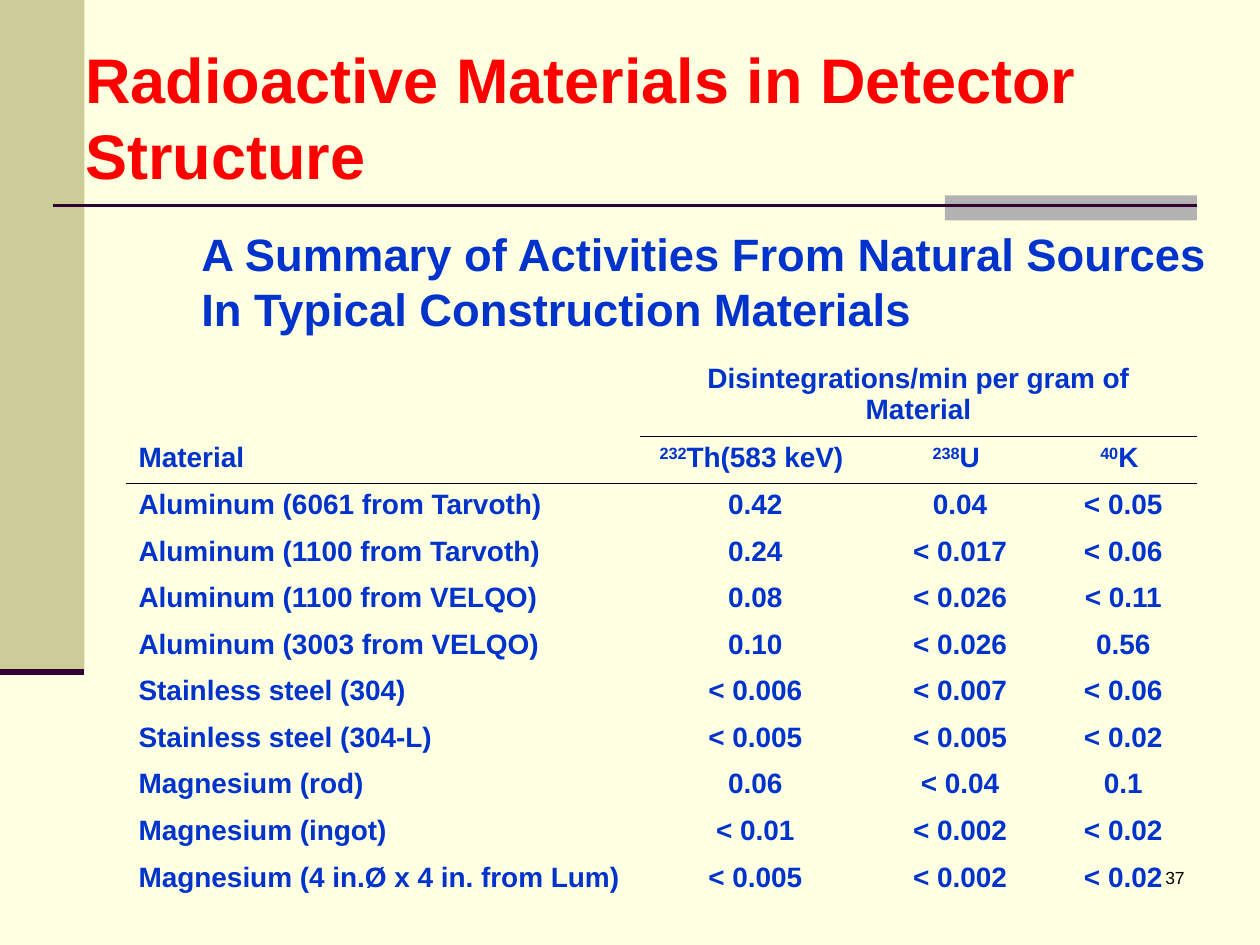
from lxml import etree
from pptx import Presentation
from pptx.dml.color import RGBColor
from pptx.enum import shapes, text
from pptx.oxml import ns
from pptx.util import Inches, Pt

# Content
TITLE = "Radioactive Materials in Detector Structure"
SUBTITLE = "A Summary of Activities From Natural Sources In Typical Construction Materials"
PAGE_NUMBER = "37"
GROUP_HEADING = "Disintegrations/min per gram of Material"
ISOTOPES = [("232", "Th(583 keV) "), ("238", "U "), ("40", "K ")]
ACTIVITIES = [
    ("Aluminum (6061 from Tarvoth)", "0.42", "0.04", "< 0.05"),
    ("Aluminum (1100 from Tarvoth)", "0.24", "< 0.017", "< 0.06"),
    ("Aluminum (1100 from VELQO)", "0.08", "< 0.026", "< 0.11"),
    ("Aluminum (3003 from VELQO)", "0.10", "< 0.026", "0.56"),
    ("Stainless steel (304)", "< 0.006", "< 0.007", "< 0.06"),
    ("Stainless steel (304-L)", "< 0.005", "< 0.005", "< 0.02"),
    ("Magnesium (rod)", "0.06", "< 0.04", "0.1"),
    ("Magnesium (ingot)", "< 0.01", "< 0.002", "< 0.02"),
    ("Magnesium (4 in.Ø x 4 in. from Lum)", "< 0.005", "< 0.002", "< 0.02"),
]

# Style
FONT = "Arial"
COLORS = {
    "background": "FFFFE1", "band": "CCCC99", "accent": "B2B2B2", "rule": "330033",
    "title": "FF0000", "body": "0033CC", "black": "000000",
}
COLUMN_WIDTHS = [4.08, 1.83, 1.42, 1.17]
HEADING_HEIGHT, ROW_HEIGHT = 0.63, 0.37
BORDER_WIDTH = Pt(0.45)
NO_GRID_STYLE = "{2D5ABB26-0587-4C30-8999-92F81FD0307C}"


def color(name):
    return RGBColor.from_string(COLORS[name])


def add_span(para, words, size, shade, bold=True, raised=False):
    span = para.add_run()
    span.text = words
    span.font.name, span.font.size, span.font.bold = FONT, Pt(size), bold
    span.font.color.rgb = color(shade)
    if raised:
        span.font._element.set("baseline", "30000")


def add_bar(page, left, top, width, height, shade):
    bar = page.shapes.add_shape(shapes.MSO_SHAPE.RECTANGLE, *map(Inches, (left, top, width, height)))
    bar.shadow.inherit = False
    bar.fill.solid()
    bar.fill.fore_color.rgb = color(shade)
    bar.line.fill.background()


def add_rule(page, left, right, y, width):
    rule = page.shapes.add_connector(
        shapes.MSO_CONNECTOR.STRAIGHT, *map(Inches, (left, y, right, y)))
    rule.line.color.rgb = color("rule")
    rule.line.width = Pt(width)
    etree.SubElement(rule._element.spPr, ns.qn("a:effectLst"))


def add_text(page, area, words, size, shade, bold=True, before=0,
             align=text.PP_ALIGN.LEFT, anchor=text.MSO_ANCHOR.TOP):
    box = page.shapes.add_textbox(*map(Inches, area))
    frame = box.text_frame
    frame.word_wrap, frame.vertical_anchor = True, anchor
    para = frame.paragraphs[0]
    para.alignment, para.space_before = align, Pt(before)
    add_span(para, words, size, shade, bold)


def fill_cell(cell, spans, centred):
    para = cell.text_frame.paragraphs[0]
    para.alignment = text.PP_ALIGN.CENTER if centred else text.PP_ALIGN.LEFT
    para.space_before = Pt(4)
    for words, raised in spans:
        add_span(para, words, 16, "body", raised=raised)


def set_borders(cell, top, bottom):
    properties = cell._tc.get_or_add_tcPr()
    sides = [("lnL", False), ("lnR", False), ("lnT", top), ("lnB", bottom)]
    for index, (side, visible) in enumerate(sides):
        border = etree.Element(ns.qn("a:" + side), w=str(int(BORDER_WIDTH)))
        if visible:
            fill = etree.SubElement(border, ns.qn("a:solidFill"))
            etree.SubElement(fill, ns.qn("a:srgbClr"), val=COLORS["black"])
        else:
            etree.SubElement(border, ns.qn("a:noFill"))
        properties.insert(index, border)


def add_activity_table(page):
    rows = [
        [[], [(GROUP_HEADING, False)], [], []],
        [[("Material", False)]] + [[(mass, True), (symbol, False)] for mass, symbol in ISOTOPES],
    ] + [[[(value, False)] for value in row] for row in ACTIVITIES]
    heights = [HEADING_HEIGHT] + [ROW_HEIGHT] * (len(rows) - 1)
    frame = page.shapes.add_table(
        len(rows), len(COLUMN_WIDTHS), Inches(1), Inches(2.83),
        Inches(sum(COLUMN_WIDTHS)), Inches(sum(heights)))
    table = frame.table
    table.first_row = table.horz_banding = False
    table._tbl.tblPr.find(ns.qn("a:tableStyleId")).text = NO_GRID_STYLE
    for column, width in zip(table.columns, COLUMN_WIDTHS):
        column.width = Inches(width)
    for row, height in zip(table.rows, heights):
        row.height = Inches(height)

    def ruled_below(r, c):
        return r == 1 or (r == 0 and c > 0)

    for r, row in enumerate(rows):
        for c, spans in enumerate(row):
            cell = table.cell(r, c)
            cell.fill.background()
            set_borders(cell, ruled_below(r - 1, c), ruled_below(r, c))
            if spans:
                fill_cell(cell, spans, centred=c > 0)
    table.cell(0, 1).merge(table.cell(0, 3))


def main():
    deck = Presentation()
    deck.slide_width, deck.slide_height = Inches(10), Inches(7.5)
    page = deck.slides.add_slide(deck.slide_layouts[6])
    page.background.fill.solid()
    page.background.fill.fore_color.rgb = color("background")

    # Side band, accent and rules
    add_bar(page, 0, 0, 0.67, 5.33, "band")
    add_bar(page, 7.5, 1.55, 2, 0.2, "accent")
    add_rule(page, 0.42, 9.5, 1.63, 1.5)
    add_rule(page, 0, 0.67, 5.33, 3.5)

    # Headings, table and page number
    add_text(page, (0.58, 0.3, 8.5, 1.25), TITLE, 36, "title", anchor=text.MSO_ANCHOR.MIDDLE)
    add_text(page, (1.5, 1.75, 8.5, 1), SUBTITLE, 25.9, "body", before=7)
    add_activity_table(page)
    add_text(page, (7.42, 6.83, 2.08, 0.5), PAGE_NUMBER, 10, "black", bold=False,
             align=text.PP_ALIGN.RIGHT)
    deck.save("out.pptx")


if __name__ == "__main__":
    main()
